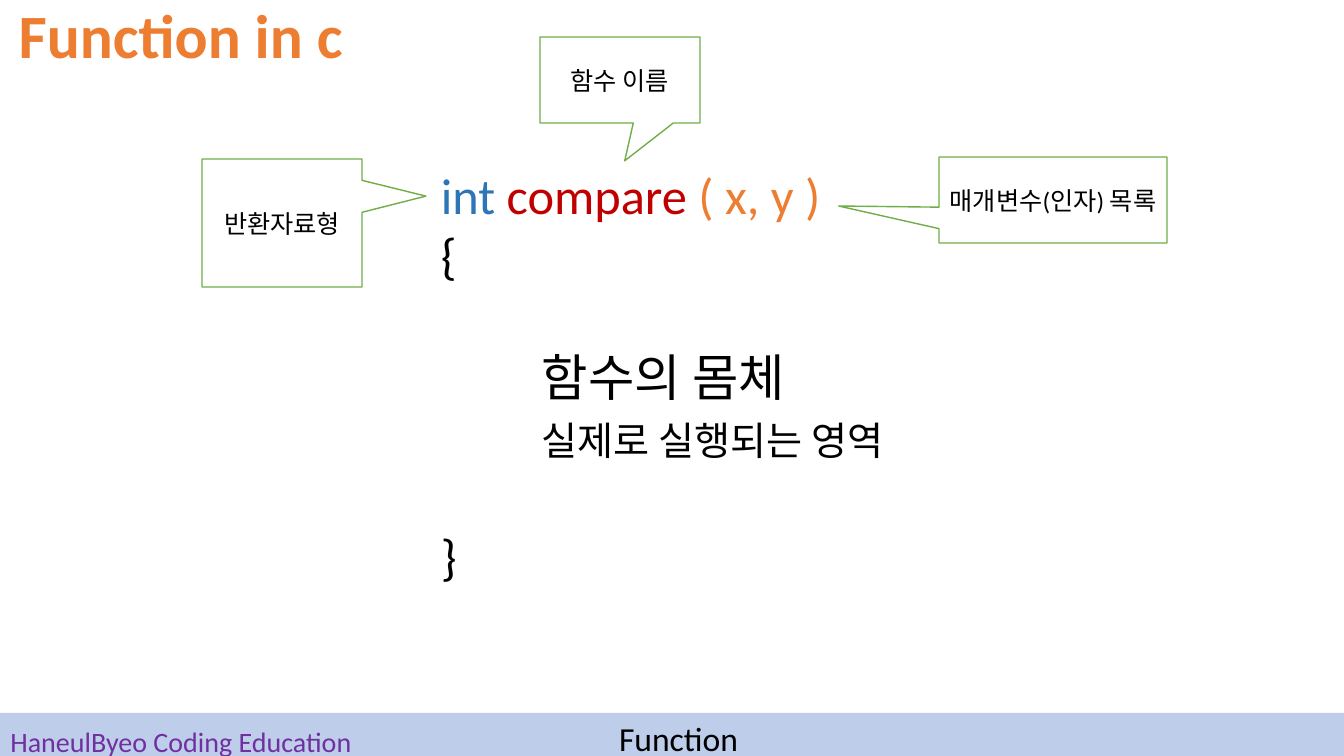
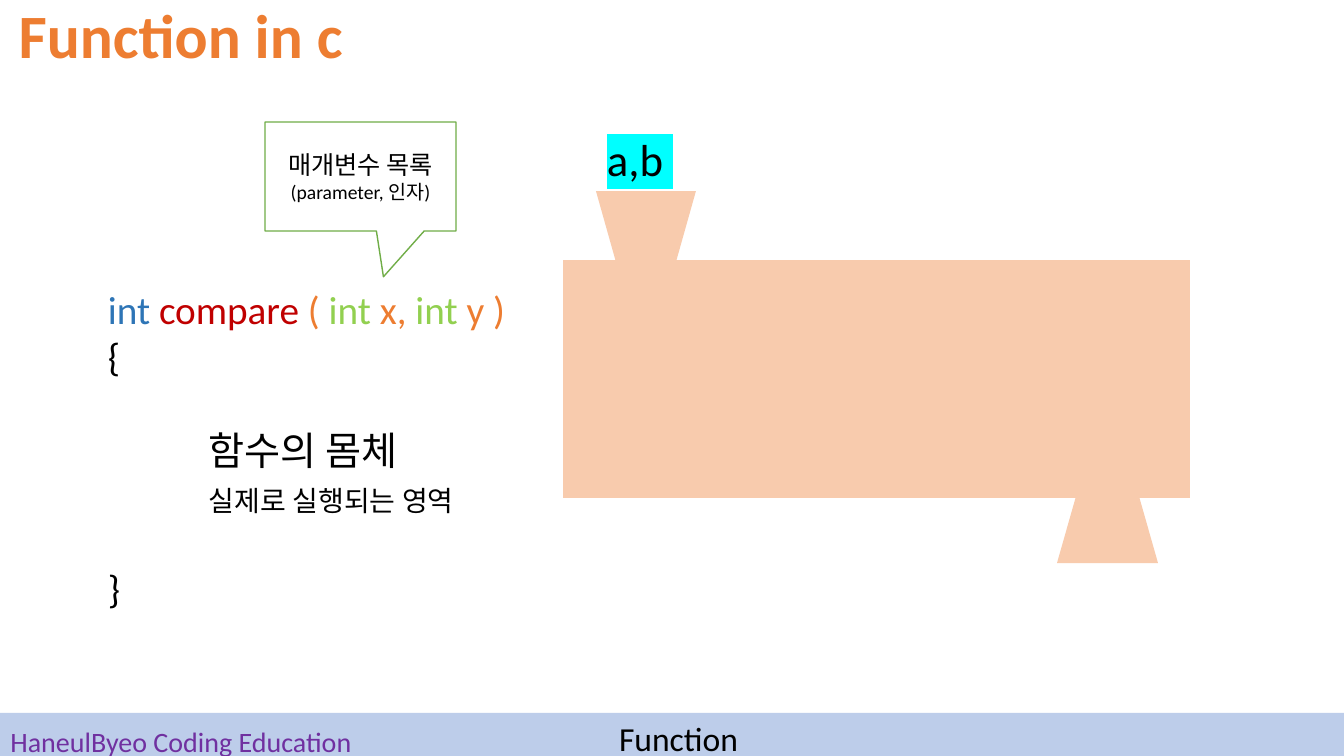
from dataclasses import dataclass

from lxml import etree
from pptx import Presentation
from pptx.dml.color import RGBColor
from pptx.enum.shapes import MSO_SHAPE as Preset
from pptx.enum.text import MSO_ANCHOR as Anchor, MSO_AUTO_SIZE as AutoSize, PP_ALIGN as Align
from pptx.oxml.ns import qn
from pptx.util import Emu, Pt

FONT = "Calibri"
SLIDE_W, SLIDE_H = 1344, 756
EMU_PER_PX = 12192000 / SLIDE_W
BODY_INDENT = 101
LINE_HEIGHT = 1.22
COLORS = {
    "black": "000000",
    "white": "FFFFFF",
    "heading": "ED7D31",
    "band": "4472C4",
    "school": "7030A0",
    "return": "2E75B6",
    "name": "C00000",
    "args": "ED7D31",
    "type": "92D050",
    "callout": "70AD47",
    "machine": "F8CBAD",
    "highlight": "00FFFF",
}


@dataclass(frozen=True)
class Box:
    x: int
    y: int
    w: int
    h: int

    def emu(self) -> tuple:
        return tuple(px(n) for n in (self.x, self.y, self.w, self.h))


@dataclass(frozen=True)
class Line:
    text: str
    size: int
    color: str = "black"


@dataclass(frozen=True)
class Callout:
    box: Box
    tip: tuple[float, float]
    lines: tuple[Line, ...]


@dataclass(frozen=True)
class Part:
    preset: Preset
    box: Box
    rotation: int = 0


@dataclass(frozen=True)
class Code:
    box: Box
    signature: tuple[tuple[str, str], ...]
    size: int
    note_size: int


def px(length: int) -> Emu:
    return Emu(round(length * EMU_PER_PX))


def rgb(name: str) -> RGBColor:
    return RGBColor.from_string(COLORS[name])


def style(paragraph, size: int, color: str = "black", align=Align.LEFT) -> None:
    paragraph.alignment = align
    paragraph.font.name = FONT
    paragraph.font.size = Pt(size)
    paragraph.font.color.rgb = rgb(color)


def paragraph_at(frame, index: int):
    return frame.add_paragraph() if index else frame.paragraphs[0]


def add_text(slide, box: Box, line: Line, align=Align.LEFT, anchor=Anchor.TOP, spacing=1.0):
    frame = slide.shapes.add_textbox(*box.emu()).text_frame
    frame.word_wrap = True
    frame.vertical_anchor = anchor
    paragraph = frame.paragraphs[0]
    paragraph.text = line.text
    paragraph.line_spacing = spacing
    style(paragraph, line.size, line.color, align)
    return paragraph


def add_filled(slide, preset: Preset, box: Box, color: str):
    shape = slide.shapes.add_shape(preset, *box.emu())
    shape.shadow.inherit = False
    shape.fill.solid()
    shape.fill.fore_color.rgb = rgb(color)
    shape.line.fill.background()
    return shape


def add_footer(slide) -> None:
    band = add_filled(slide, Preset.RECTANGLE, Box(-3, 713, 1350, 50), "band")
    tint = band.fill._xPr.find(qn("a:solidFill"))[0]
    etree.SubElement(tint, qn("a:alpha"), val="35000")
    add_text(slide, Box(-36, 722, 434, 42), Line("HaneulByeo Coding Education", 20, "school"),
             Align.CENTER, Anchor.BOTTOM, 0.9)
    add_text(slide, Box(523, 718, 311, 51), Line("Function", 24), Align.CENTER, spacing=0.9)


def start_slide(deck, heading: str):
    slide = deck.slides.add_slide(deck.slide_layouts.get_by_name("Title Only"))
    title = slide.shapes.title
    title.left, title.top, title.width, title.height = Box(-89, 0, 540, 86).emu()
    frame = title.text_frame
    frame.text = heading
    frame.vertical_anchor = Anchor.TOP
    frame.auto_size = AutoSize.NONE
    paragraph = frame.paragraphs[0]
    paragraph.line_spacing = 0.9
    style(paragraph, 44, "heading", Align.CENTER)
    paragraph.font.bold = True
    add_footer(slide)
    return slide


def add_code(slide, code: Code) -> None:
    frame = slide.shapes.add_textbox(*code.box.emu()).text_frame
    frame.word_wrap = True
    # Signature, one colour per token
    signature = frame.paragraphs[0]
    style(signature, code.size)
    for token, color in code.signature:
        run = signature.add_run()
        run.text = token
        run.font.color.rgb = rgb(color)
    # Braces and indented body, with one line of space around the body
    gap = Pt(round(code.size * LINE_HEIGHT))
    for text, size, indent, before in (
        ("{", code.size, 0, 0),
        ("함수의 몸체", code.size, BODY_INDENT, gap),
        ("실제로 실행되는 영역", code.note_size, BODY_INDENT, Pt(7)),
        ("}", code.size, 0, gap),
    ):
        paragraph = frame.add_paragraph()
        paragraph.text = text
        style(paragraph, size)
        paragraph.space_before = before
        paragraph._p.get_or_add_pPr().set("marL", str(px(indent)))


def add_callout(slide, callout: Callout) -> None:
    bubble = add_filled(slide, Preset.RECTANGULAR_CALLOUT, callout.box, "white")
    bubble.line.color.rgb = rgb("callout")
    bubble.line.width = Pt(1)
    bubble.adjustments[0], bubble.adjustments[1] = callout.tip
    frame = bubble.text_frame
    frame.word_wrap = True
    frame.vertical_anchor = Anchor.MIDDLE
    for index, line in enumerate(callout.lines):
        paragraph = paragraph_at(frame, index)
        paragraph.text = line.text
        style(paragraph, line.size, line.color, Align.CENTER)


def add_machine(slide, parts: tuple[Part, ...]) -> None:
    for part in parts:
        add_filled(slide, part.preset, part.box, "machine").rotation = part.rotation


def add_highlighted(slide, box: Box, line: Line) -> None:
    run = add_text(slide, box, line).runs[0]
    run.font.color.rgb = rgb(line.color)
    highlight = etree.Element(qn("a:highlight"))
    etree.SubElement(highlight, qn("a:srgbClr"), val=COLORS["highlight"])
    run.font._rPr.find(qn("a:solidFill")).addnext(highlight)


HEADING = "Function in c"
DECLARATION = (("int ", "return"), ("compare ", "name"))

ANATOMY = Code(Box(431, 159, 496, 437), DECLARATION + (("( x, y )", "args"),), 36, 28)
ANATOMY_CALLOUTS = (
    Callout(Box(202, 159, 160, 128), (0.9, -0.21), (Line("반환자료형", 18),)),
    Callout(Box(540, 37, 160, 86), (0.03, 0.94), (Line("함수 이름", 18),)),
    Callout(Box(939, 157, 228, 86), (-0.94, 0.07), (Line("매개변수(인자) 목록", 18),)),
)

TYPED = Code(
    Box(98, 280, 425, 343),
    DECLARATION + (("( ", "args"), ("int", "type"), (" x, ", "args"),
                   ("int", "type"), (" y )", "args")),
    28, 20,
)
PARAMETERS = Callout(Box(265, 122, 191, 109), (0.12, 0.92),
                     (Line("매개변수 목록", 18), Line("(parameter, 인자)", 14)))
MACHINE = (
    Part(Preset.FLOWCHART_MANUAL_OPERATION, Box(596, 191, 100, 71)),
    Part(Preset.FLOWCHART_MANUAL_OPERATION, Box(1057, 492, 101, 71), 180),
    Part(Preset.RECTANGLE, Box(563, 260, 627, 238)),
)


def main() -> None:
    deck = Presentation()
    deck.slide_width, deck.slide_height = px(SLIDE_W), px(SLIDE_H)

    # Parts of a function
    anatomy = start_slide(deck, HEADING)
    add_code(anatomy, ANATOMY)
    for callout in ANATOMY_CALLOUTS:
        add_callout(anatomy, callout)

    # Function as a machine with inputs
    machine = start_slide(deck, HEADING)
    add_code(machine, TYPED)
    add_callout(machine, PARAMETERS)
    add_machine(machine, MACHINE)
    add_highlighted(machine, Box(597, 127, 164, 65), Line("a,b ", 32))

    deck.save("out.pptx")


if __name__ == "__main__":
    main()
